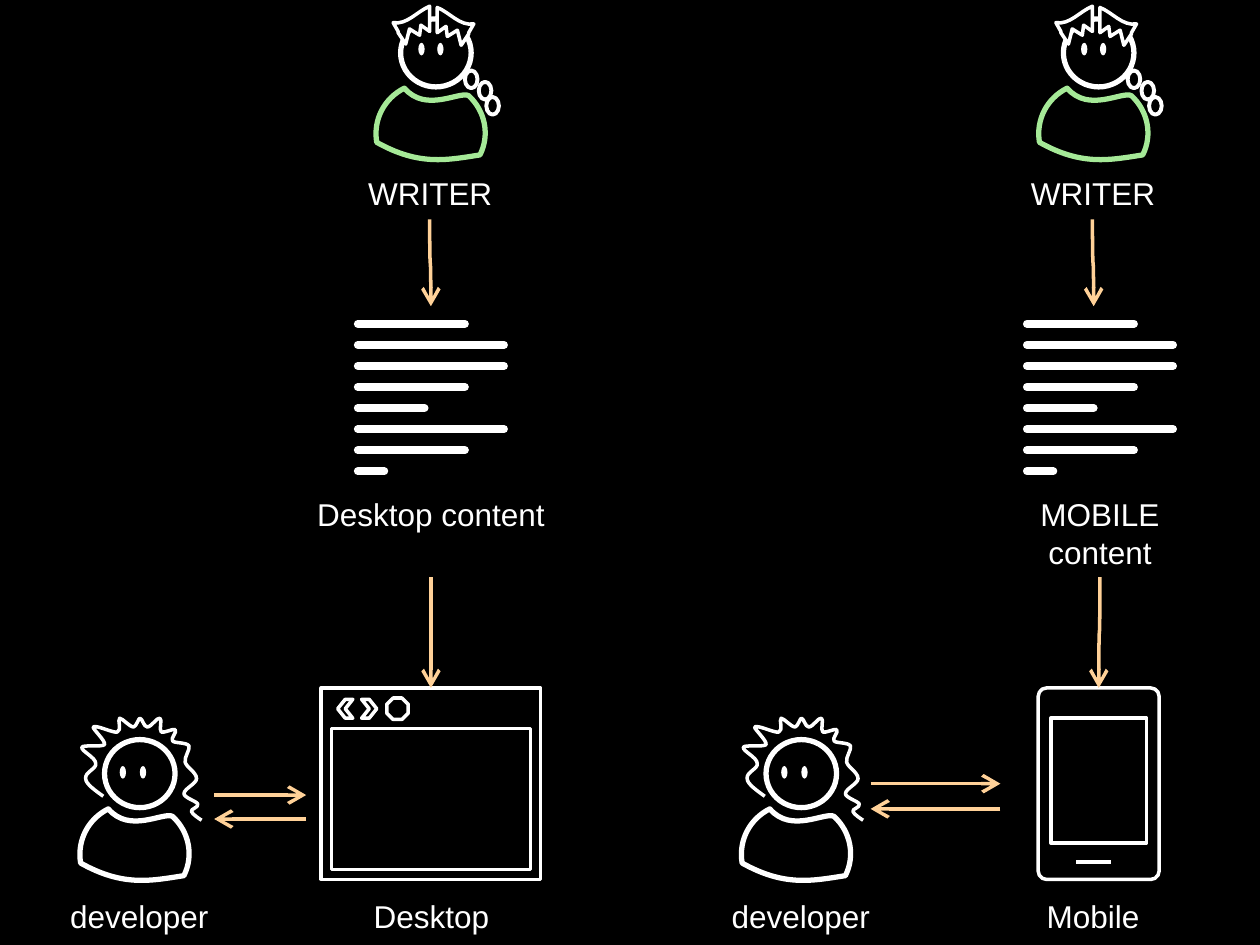
import pptx
import pptx.dml.color
import pptx.enum.shapes
import pptx.enum.text
import pptx.oxml
import pptx.oxml.ns
import pptx.util

Inches = pptx.util.Inches
Pt = pptx.util.Pt
RGB = pptx.dml.color.RGBColor
KIND = pptx.enum.shapes.MSO_SHAPE
LINK = pptx.enum.shapes.MSO_CONNECTOR

BLACK = RGB(0x00, 0x00, 0x00)
WHITE = RGB(0xFF, 0xFF, 0xFF)
GREEN = RGB(0xA5, 0xE9, 0x97)
PEACH = RGB(0xFF, 0xD1, 0x98)

# Outlines: a start, then lines (one point) or curves (three points)
BODY = [[(2.99, 1.13)],
        [(2.96, 0.95), (3.05, 0.78), (3.21, 0.7)],
        [(3.38, 0.9), (3.65, 0.72), (3.72, 0.76)],
        [(3.85, 0.88), (3.89, 1.07), (3.81, 1.23)],
        [(3.55, 1.27), (3.33, 1.32), (2.99, 1.13)]]
FRINGE = [[(3.12, 0.18)], [(3.23, 0.2), (3.31, 0.09), (3.41, 0.05)],
          [(3.41, 0.25)], [(3.34, 0.2)], [(3.33, 0.28)], [(3.25, 0.23)],
          [(3.22, 0.35)], [(3.16, 0.26)], [(3.16, 0.25)], [(3.12, 0.18)]]
CURLS = [[(0.82, 6.32)],
         [(0.75, 6.27), (0.68, 6.22), (0.68, 6.18)],
         [(0.67, 6.13), (0.77, 6.1), (0.76, 6.06)],
         [(0.76, 6.01), (0.64, 5.96), (0.65, 5.93)],
         [(0.66, 5.91), (0.81, 5.93), (0.83, 5.91)],
         [(0.84, 5.88), (0.73, 5.78), (0.74, 5.77)],
         [(0.76, 5.75), (0.9, 5.82), (0.93, 5.81)],
         [(0.97, 5.8), (0.93, 5.71), (0.95, 5.7)],
         [(0.97, 5.7), (1.03, 5.77), (1.06, 5.77)],
         [(1.08, 5.77), (1.1, 5.7), (1.11, 5.7)],
         [(1.13, 5.7), (1.14, 5.77), (1.17, 5.77)],
         [(1.2, 5.77), (1.25, 5.69), (1.27, 5.7)],
         [(1.29, 5.71), (1.26, 5.79), (1.28, 5.81)],
         [(1.3, 5.82), (1.38, 5.78), (1.39, 5.79)],
         [(1.41, 5.81), (1.35, 5.86), (1.37, 5.88)],
         [(1.38, 5.9), (1.48, 5.89), (1.5, 5.92)],
         [(1.51, 5.95), (1.46, 6.01), (1.47, 6.05)],
         [(1.48, 6.09), (1.56, 6.13), (1.56, 6.18)],
         [(1.56, 6.22), (1.46, 6.26), (1.46, 6.3)],
         [(1.46, 6.33), (1.56, 6.36), (1.57, 6.38)],
         [(1.58, 6.41), (1.51, 6.42), (1.52, 6.44)],
         [(1.52, 6.46), (1.6, 6.51), (1.6, 6.51)],
         [(1.6, 6.51)]]


def node(tag, **values):
    item = pptx.oxml.parse_xml(f"<a:{tag} {pptx.oxml.ns.nsdecls('a')}/>")
    for name, value in values.items():
        item.set(name, str(value))
    return item


def style(shape, color, width, fill=None):
    """Give a shape its outline, fill and no shadow."""
    shape.shadow.inherit = False
    if fill is None:
        shape.fill.background()
    else:
        shape.fill.solid()
        shape.fill.fore_color.rgb = fill
    if color is None:
        shape.line.fill.background()
    else:
        shape.line.color.rgb = color
        shape.line.width = Pt(width)
        shape.line._get_or_add_ln().append(node("round"))
    return shape


def draw(shapes, kind, box, color=WHITE, width=2, fill=None):
    shape = shapes.add_shape(kind, *[Inches(v) for v in box])
    return style(shape, color, width, fill)


def trace(shapes, box, parts, color, width, dx=0, dy=0, fill=None, closed=True):
    """Make a freeform of the box's size, then give it the curved outline."""
    left, top, wide, high = [Inches(v) for v in box]
    pen = shapes.build_freeform(left + Inches(dx), top + Inches(dy))
    pen.add_line_segments([
        (left + Inches(dx) + x, top + Inches(dy) + y)
        for x, y in ((wide, 0), (wide, high), (0, high))])
    shape = style(pen.convert_to_shape(), color, width, fill)
    track = next(shape._element.iter(pptx.oxml.ns.qn("a:path")))
    for old in list(track):
        track.remove(old)
    for spot, part in enumerate(parts):
        tag = "cubicBezTo" if len(part) == 3 else "lnTo" if spot else "moveTo"
        step = node(tag)
        for x, y in part:
            step.append(node("pt", x=Inches(x) - left, y=Inches(y) - top))
        track.append(step)
    if closed:
        track.append(node("close"))


def line(shapes, start, end, color=WHITE, width=2, kind=LINK.STRAIGHT):
    link = shapes.add_connector(kind, *[Inches(v) for v in start + end])
    link.line.color.rgb = color
    link.line.width = Pt(width)
    link._element.spPr.append(node("effectLst"))
    return link


def arrow(shapes, start, end, kind=LINK.STRAIGHT):
    link = line(shapes, start, end, PEACH, 2, kind)
    tail = node("tailEnd", type="arrow", w="lg", len="lg")
    link.line._get_or_add_ln().append(tail)
    return link


def drop(shapes, start, end):
    """Curved arrow going down: laid out sideways, then turned by 90 degrees."""
    (x1, y1), (x2, y2) = start, end
    mx, my = (x1 + x2) / 2, (y1 + y2) / 2
    half = (y2 - y1) / 2
    link = arrow(shapes, (mx - half, my + mx - x1), (mx + half, my + mx - x2),
                 LINK.CURVE)
    link._element.spPr.xfrm.set("rot", "5400000")


def label(shapes, text, left, top, width, height=0.4):
    box = shapes.add_textbox(*[Inches(v) for v in (left, top, width, height)])
    frame = box.text_frame
    frame.word_wrap = True
    frame.auto_size = pptx.enum.text.MSO_AUTO_SIZE.SHAPE_TO_FIT_TEXT
    para = frame.paragraphs[0]
    para.alignment = pptx.enum.text.PP_ALIGN.CENTER
    run = para.add_run()
    run.text = text
    run.font.size = Pt(18)
    run.font.name = "Arial"
    run.font.color.rgb = WHITE


def person(shapes, color, dx, dy, eyes):
    """Body, head and eyes, moved by dx and dy."""
    trace(shapes, (2.99, 0.7, 0.87, 0.57), BODY, color, 3, dx, dy)
    draw(shapes, KIND.OVAL, (3.18 + dx, 0.15 + dy, 0.56, 0.54), width=3)
    for x in eyes[:2]:
        draw(shapes, KIND.OVAL, (x, eyes[2], 0.05, 0.1), None, fill=WHITE)


def writer(shapes, dx):
    person(shapes.add_group_shape().shapes, GREEN, dx, 0,
           (3.32 + dx, 3.47 + dx, 0.34))
    drop(shapes, (3.41 + dx, 1.74), (3.42 + dx, 2.43))
    label(shapes, "WRITER", 2.73 + dx, 1.33, 1.37)
    # Braid
    for x, y in ((3.69, 0.56), (3.8, 0.65), (3.86, 0.77)):
        draw(shapes, KIND.OVAL, (x + dx, y, 0.1, 0.14), width=2.25)
    # Fringe and its mirrored half
    mirror = [[(6.88 - x, y) for x, y in part] for part in FRINGE]
    trace(shapes, (3.12, 0.05, 0.29, 0.3), FRINGE, WHITE, 2, dx, fill=BLACK)
    trace(shapes, (3.47, 0.05, 0.29, 0.3), mirror, WHITE, 2, dx, 0.01, BLACK)


def coder(shapes, dx):
    group = shapes.add_group_shape().shapes
    person(group, WHITE, dx - 2.35, 5.72, (0.95 + dx, 1.11 + dx, 6.08))
    trace(group, (0.65, 5.7, 0.95, 0.81), CURLS, WHITE, 2, dx, closed=False)
    label(shapes, "developer", 0.08 + dx, 7.07, 2.05)


def page(shapes, left):
    """Lines of content."""
    group = shapes.add_group_shape().shapes
    for row, size in enumerate((0.85, 1.16, 1.16, 0.85, 0.53, 1.16, 0.85, 0.21)):
        y = 2.57 + row * 1.17 / 7
        link = line(group, (left, y), (left + size, y), width=4.5)
        link.line._get_or_add_ln().set("cap", "rnd")


def swap(shapes, left, right, top, low):
    arrow(shapes, (right, low), (left, low))
    arrow(shapes, (left, top), (right, top))


def screen(shapes):
    group = shapes.add_group_shape().shapes
    draw(group, KIND.RECTANGLE, (2.55, 5.46, 1.74, 1.52))
    draw(group, KIND.RECTANGLE, (2.63, 5.78, 1.58, 1.12))
    draw(group, KIND.CHEVRON, (2.68, 5.55, 0.12, 0.15)).rotation = 180
    draw(group, KIND.CHEVRON, (2.87, 5.55, 0.12, 0.15))
    draw(group, KIND.OCTAGON, (3.07, 5.54, 0.17, 0.17))


def phone(shapes):
    group = shapes.add_group_shape().shapes
    case = draw(group, KIND.ROUNDED_RECTANGLE, (8.24, 5.46, 0.96, 1.52))
    case.adjustments[0] = 0.07
    draw(group, KIND.RECTANGLE, (8.34, 5.7, 0.76, 0.99))
    line(group, (8.54, 6.84), (8.82, 6.84))


def main():
    deck = pptx.Presentation()
    deck.slide_width, deck.slide_height = Inches(10), Inches(7.5)
    slide = deck.slides.add_slide(deck.slide_layouts[6])
    slide.background.fill.solid()
    slide.background.fill.fore_color.rgb = BLACK
    shapes = slide.shapes

    # Desktop column
    label(shapes, "Desktop content", 2.19, 3.88, 2.46, 0.71)
    page(shapes, 2.84)
    screen(shapes)
    label(shapes, "Desktop", 1.76, 7.07, 3.33)
    drop(shapes, (3.42, 4.58), (3.42, 5.46))

    # Mobile column
    phone(shapes)
    label(shapes, "Mobile", 7.38, 7.07, 2.59)
    label(shapes, "MOBILE content", 7.77, 3.88, 1.92, 0.71)
    page(shapes, 8.15)
    drop(shapes, (8.73, 4.58), (8.72, 5.46))

    # People
    for shift in (0, 5.26):
        writer(shapes, shift)
    for shift in (5.25, 0):
        coder(shapes, shift)

    # Exchanges between developers and devices
    swap(shapes, 1.7, 2.43, 6.31, 6.5)
    swap(shapes, 6.91, 7.94, 6.22, 6.42)

    deck.save("out.pptx")


if __name__ == "__main__":
    main()
